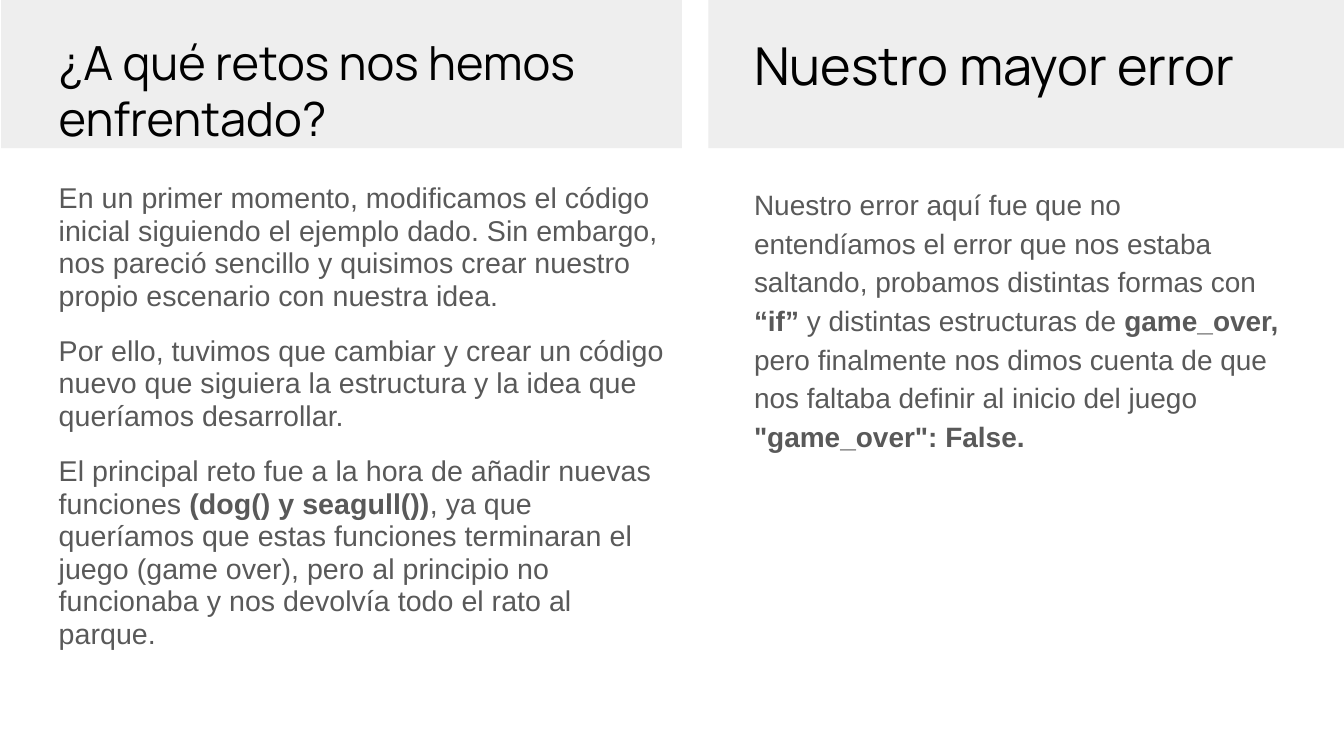
from dataclasses import dataclass

from pptx import Presentation
from pptx.dml.color import RGBColor
from pptx.enum.shapes import MSO_SHAPE
from pptx.enum.text import MSO_ANCHOR, MSO_AUTO_SIZE, PP_ALIGN
from pptx.util import Cm, Pt

RECTANGLE = MSO_SHAPE.RECTANGLE
TOP = MSO_ANCHOR.TOP
LEFT = PP_ALIGN.LEFT
NO_AUTOFIT = MSO_AUTO_SIZE.NONE
COMPARISON_LAYOUT = 4


@dataclass(frozen=True)
class Theme:
    panel: str = "EEEEEE"
    title: str = "000000"
    body: str = "595959"
    title_font: str = "Manrope"
    body_font: str = "Arial"
    left_title_size: float = 25.2
    right_title_size: float = 28
    left_body_size: float = 15.3
    right_body_size: float = 15


def write_text(paragraph, runs, *, font, size, color, line_spacing=1.0,
               before=0, after=0):
    """Fill a paragraph with (text, bold) runs in one format."""
    paragraph.alignment = LEFT
    paragraph.line_spacing = line_spacing
    paragraph.space_before = Pt(before)
    paragraph.space_after = Pt(after)
    for text, bold in runs:
        run = paragraph.add_run()
        run.text = text
        run.font.name = font
        run.font.size = Pt(size)
        run.font.bold = bold
        run.font.color.rgb = RGBColor.from_string(color)


class SlideBuilder:
    def __init__(self, presentation, theme):
        self.theme = theme
        layout = presentation.slide_layouts[COMPARISON_LAYOUT]
        self.slide = presentation.slides.add_slide(layout)
        self.placeholders = {
            shape.placeholder_format.idx: shape for shape in self.slide.placeholders
        }

    def panel(self, left, top, width, height):
        """Add a heading band behind the placeholders."""
        shape = self.slide.shapes.add_shape(
            RECTANGLE, Cm(left), Cm(top), Cm(width), Cm(height))
        shape.shadow.inherit = False
        shape.fill.solid()
        shape.fill.fore_color.rgb = RGBColor.from_string(self.theme.panel)
        shape.line.fill.background()
        self.slide.shapes._spTree.insert(2, shape._element)

    def place(self, index, left, top, width, height):
        """Move a placeholder and return its text frame."""
        shape = self.placeholders[index]
        shape.left, shape.top = Cm(left), Cm(top)
        shape.width, shape.height = Cm(width), Cm(height)
        frame = shape.text_frame
        frame.word_wrap = True
        frame.auto_size = NO_AUTOFIT
        frame.vertical_anchor = TOP
        frame.margin_left = frame.margin_right = Cm(0.25)
        frame.margin_top = frame.margin_bottom = Cm(0.25)
        return frame

    def title(self, index, text, box, size):
        frame = self.place(index, *box)
        write_text(frame.paragraphs[0], [(text, False)], size=size,
                   font=self.theme.title_font, color=self.theme.title)

    def body(self, index, paragraphs, box, size, line_spacing, gap=0):
        frame = self.place(index, *box)
        for number, runs in enumerate(paragraphs):
            paragraph = frame.add_paragraph() if number else frame.paragraphs[0]
            write_text(paragraph, runs, size=size, font=self.theme.body_font,
                       color=self.theme.body, line_spacing=line_spacing,
                       before=gap if number else 0)


CHALLENGES = [
    [("En un primer momento, modificamos el código inicial siguiendo el ejemplo "
      "dado. Sin embargo, nos pareció sencillo y quisimos crear nuestro propio "
      "escenario con nuestra idea.", False)],
    [("Por ello, tuvimos que cambiar y crear un código nuevo que siguiera la "
      "estructura y la idea que queríamos desarrollar.", False)],
    [("El principal reto fue a la hora de añadir nuevas funciones ", False),
     ("(dog() y seagull())", True),
     (", ya que queríamos que estas funciones terminaran el juego (game over), "
      "pero al principio no funcionaba y nos devolvía todo el rato al parque.",
      False)],
]
MISTAKE = [
    [("Nuestro error aquí fue que no entendíamos el error que nos estaba "
      "saltando, probamos distintas formas con ", False),
     ("“if” ", True),
     ("y distintas estructuras de ", False),
     ("game_over,", True),
     (" pero finalmente nos dimos cuenta de que nos faltaba definir al inicio "
      "del juego ", False),
     ('"game_over": False.', True)],
]


def main():
    presentation = Presentation()
    presentation.slide_width, presentation.slide_height = Cm(25.4), Cm(14.29)
    theme = Theme()
    builder = SlideBuilder(presentation, theme)

    # Heading bands
    builder.panel(0.02, -0.02, 12.87, 2.82)
    builder.panel(13.39, -0.02, 12.19, 2.82)

    # Left column: challenges
    builder.title(0, "¿A qué retos nos hemos enfrentado?",
                  (0.86, 0.38, 11.84, 1.6), theme.left_title_size)
    builder.body(1, CHALLENGES, (0.86, 3.2, 12.01, 9.5),
                 theme.left_body_size, line_spacing=0.95, gap=12)

    # Right column: biggest mistake
    builder.title(3, "Nuestro mayor error",
                  (14, 0.38, 11.84, 2.41), theme.right_title_size)
    # The last placeholder carries a bullet from the layout
    body = builder.placeholders[4]
    properties = body.text_frame.paragraphs[0]._p.get_or_add_pPr()
    properties.set("marL", "0")
    properties.set("indent", "0")
    properties.insert(0, properties.makeelement(
        "{http://schemas.openxmlformats.org/drawingml/2006/main}buNone", {}))
    builder.body(4, MISTAKE, (14, 3.2, 10.54, 9.5),
                 theme.right_body_size, line_spacing=1.15)

    presentation.save("out.pptx")


if __name__ == "__main__":
    main()
